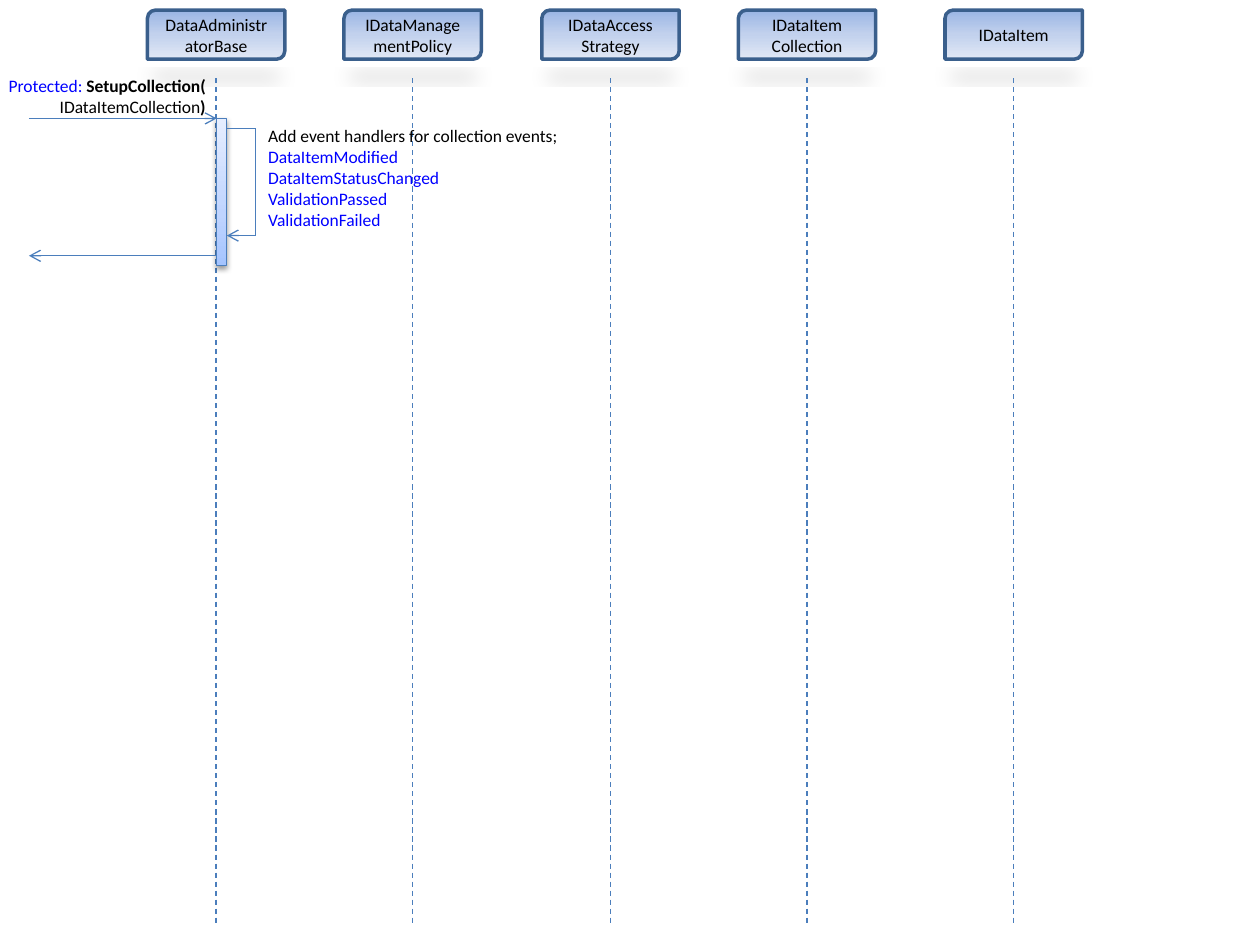
"""Build a sequence diagram for setting up a data item collection."""
from lxml.etree import SubElement
from pptx import Presentation
from pptx.dml.color import RGBColor
from pptx.enum.dml import MSO_LINE
from pptx.enum.shapes import MSO_CONNECTOR, MSO_SHAPE
from pptx.enum.text import MSO_ANCHOR, PP_ALIGN
from pptx.oxml.ns import qn
from pptx.util import Inches, Pt

BLACK, BLUE, LINE, BORDER = "000000", "0000FF", "4B7EBC", "3A5F8C"
color = RGBColor.from_string

presentation = Presentation()
presentation.slide_width, presentation.slide_height = Inches(10), Inches(7.5)
column = presentation.slide_width // 100
row = presentation.slide_height // 75
slide = presentation.slides.add_slide(presentation.slide_layouts[6])


def add_gradient_shape(kind, area, stops, angle, border, border_width, shadow):
    left, top, width, height = area
    shape = slide.shapes.add_shape(
        kind, int(left * column), int(top * row), int(width * column), int(height * row))
    shape.fill.gradient()
    shape.fill.gradient_angle = angle
    properties = shape._element.spPr
    stop_list = properties.find(".//" + qn("a:gsLst"))
    stop_list.clear()
    for position, stop_color in stops:
        stop = SubElement(stop_list, qn("a:gs"), pos=str(position * 1000))
        SubElement(stop, qn("a:srgbClr"), val=stop_color)
    shape.line.color.rgb = color(border)
    shape.line.width = Pt(border_width)
    shape.shadow.inherit = False
    opacity, blur, distance, scale = shadow
    outer = SubElement(properties.find(qn("a:effectLst")), qn("a:outerShdw"),
                       blurRad=str(Pt(blur)), dist=str(Pt(distance)),
                       dir="5400000", rotWithShape="0", **scale)
    shadow_color = SubElement(outer, qn("a:srgbClr"), val=BLACK)
    SubElement(shadow_color, qn("a:alpha"), val=str(opacity * 1000))
    return shape


def draw_line(start, end, arrow=False, dashed=False):
    connector = slide.shapes.add_connector(
        MSO_CONNECTOR.STRAIGHT, int(start[0] * column), int(start[1] * row),
        int(end[0] * column), int(end[1] * row))
    connector.line.color.rgb = color(LINE)
    connector.line.width = Pt(0.75)
    if dashed:
        connector.line.dash_style = MSO_LINE.DASH
    if arrow:
        SubElement(connector.line._get_or_add_ln(), qn("a:tailEnd"), type="arrow")
    SubElement(connector._element.spPr, qn("a:effectLst"))


participants = [
    (11.7, "DataAdministratorBase"),
    (27.3, "IDataManagementPolicy"),
    (43, "IDataAccess\nStrategy"),
    (58.6, "IDataItem\nCollection"),
    (75, "IDataItem"),
]
box_width = 10.9
for left, name in participants:
    box = add_gradient_shape(
        MSO_SHAPE.ROUND_2_DIAG_RECTANGLE, (left, 0.8, box_width, 3.9),
        [(0, "9AB5E4"), (50, "C2D1ED"), (100, "E1E8F5")], 270, BORDER, 2,
        (15, 12, 7, {"sx": "90000", "sy": "-19000"}))
    frame = box.text_frame
    frame.text = name
    frame.word_wrap = True
    frame.vertical_anchor = MSO_ANCHOR.MIDDLE
    for paragraph in frame.paragraphs:
        paragraph.alignment = PP_ALIGN.CENTER
        paragraph.font.size = Pt(10)
        paragraph.font.name = "Calibri"
        paragraph.font.color.rgb = color(BLACK)
    center = left + box_width / 2
    draw_line((center, 6.2), (center, 73.4), dashed=True)

caller, bar_left, bar_right, loop_right = 2.3, 17.2, 18, 20.3
call_row, return_row, loop_top, loop_bottom = 9.4, 20.3, 10.2, 18.7
add_gradient_shape(
    MSO_SHAPE.RECTANGLE, (bar_left, call_row, bar_right - bar_left, 11.7),
    [(0, "A4C4FF"), (35, "BFD4FF"), (100, "E6EEFF")], 90, LINE, 0.75,
    (38, 3.1, 1.6, {}))

draw_line((caller, call_row), (bar_left, call_row), arrow=True)
draw_line((bar_left, return_row), (caller, return_row), arrow=True)
draw_line((loop_right, loop_top), (bar_right, loop_top))
draw_line((loop_right, loop_top), (loop_right, loop_bottom))
draw_line((loop_right, loop_bottom), (bar_right, loop_bottom), arrow=True)

events = ["DataItemModified", "DataItemStatusChanged", "ValidationPassed", "ValidationFailed"]
labels = [
    ((-3.9, 5.5, 21.2, 4.4), PP_ALIGN.RIGHT, [
        [("Protected: ", BLUE, False), ("SetupCollection(", BLACK, True)],
        [("IDataItemCollection", BLACK, False), (")", BLACK, True)],
    ]),
    ((loop_right, call_row, 27.3, 9.4), PP_ALIGN.LEFT, [
        [("Add event handlers for collection events;", BLACK, False)],
        *[[(event, BLUE, False)] for event in events],
    ]),
]
for (left, top, width, height), alignment, lines in labels:
    text_box = slide.shapes.add_textbox(
        int(left * column), int(top * row), int(width * column), int(height * row))
    frame = text_box.text_frame
    frame.word_wrap = True
    for index, pieces in enumerate(lines):
        paragraph = frame.add_paragraph() if index else frame.paragraphs[0]
        paragraph.alignment = alignment
        for text, text_color, bold in pieces:
            run = paragraph.add_run()
            run.text = text
            run.font.size = Pt(10)
            run.font.name = "Calibri"
            run.font.bold = bold
            run.font.color.rgb = color(text_color)

presentation.save("out.pptx")
